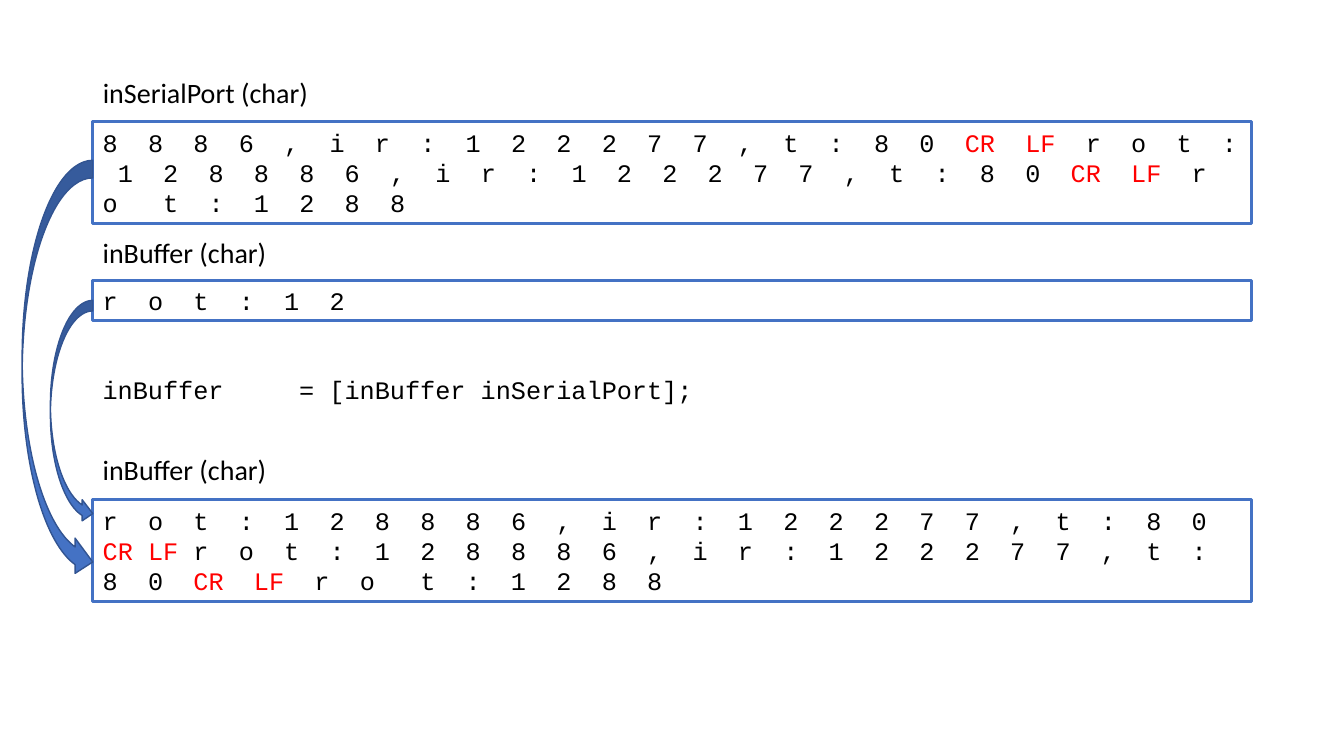
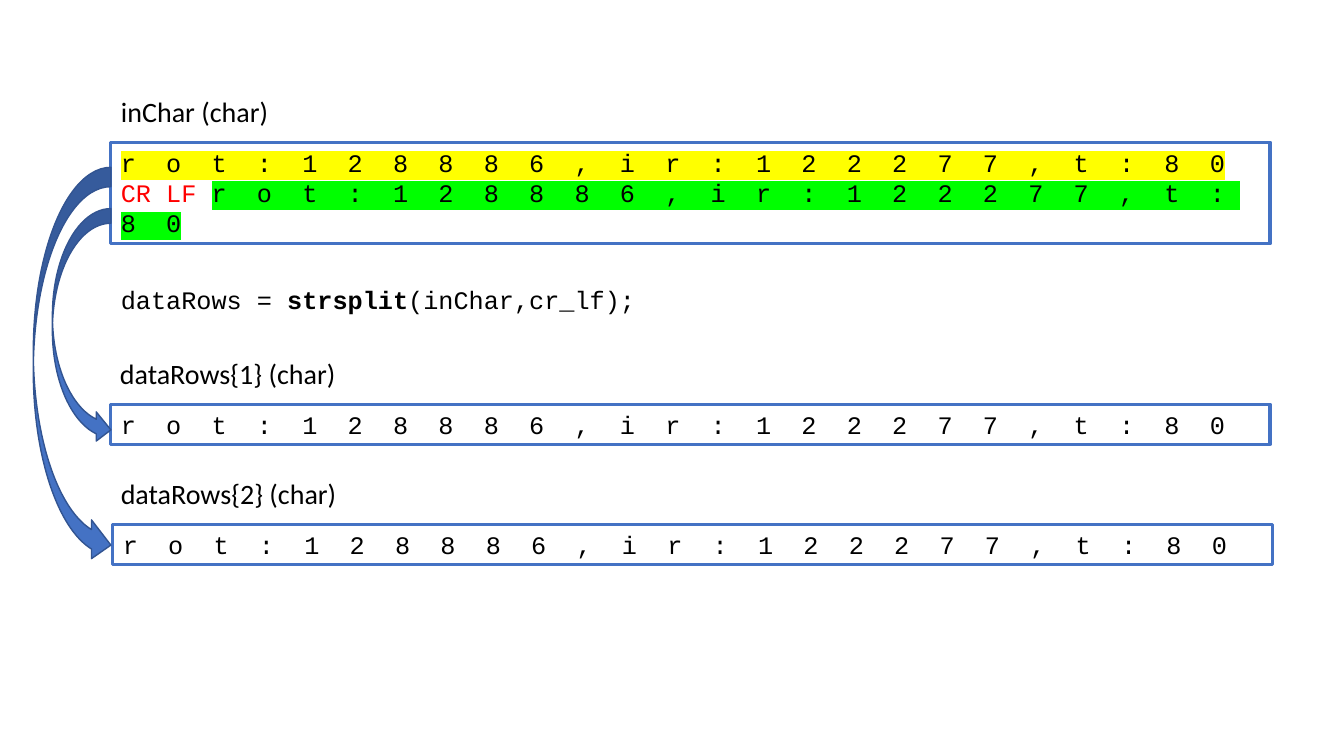
from dataclasses import dataclass
from typing import NamedTuple

from lxml.etree import SubElement
from pptx import Presentation
from pptx.dml.color import RGBColor
from pptx.enum.shapes import MSO_SHAPE
from pptx.enum.text import MSO_ANCHOR, MSO_AUTO_SIZE, PP_ALIGN
from pptx.oxml.ns import qn
from pptx.util import Inches, Pt

SLIDE_W, SLIDE_H = Inches(13.33), Inches(7.5)
COLORS = {
    "text": "000000",
    "line_end": "FF0000",
    "accent": "4472C4",
    "arrow_edge": "325491",
    "first_row": "FFFF00",
    "second_row": "00FF00",
}
CODE_FONT, LABEL_FONT = "Courier New", "Calibri"

# Lengths are percentages of the slide's width (x) or height (y).
BUFFER_W = 86.25
LABEL_W, LABEL_H = 37.65, 7.6
ONE_LINE_H, THREE_LINE_H = 5.33, 13.47


class Piece(NamedTuple):
    text: str
    color: str = "text"
    highlight: str | None = None
    bold: bool = False


class Spot(NamedTuple):
    x: float
    y: float


@dataclass
class Buffer:
    """A labelled row of characters in a frame."""
    label: str
    label_spot: Spot
    frame_spot: Spot
    height: float
    pieces: list[Piece]


@dataclass
class Flow:
    """A curved arrow that ends at the left edge of the frames."""
    x: float
    top: float
    bottom: float


@dataclass
class Step:
    left: float
    buffers: list[Buffer]
    statement: list[Piece]
    statement_y: float
    statement_w: float
    flows: list[Flow]


def spaced(characters: str) -> str:
    """Set the characters of an array two spaces apart."""
    return "  ".join(characters)


ROW = spaced("rot:128886,ir:122277,t:80")
ROW_START = spaced("rot:12")
ROW_END = spaced("8886,ir:122277,t:80")
CUT_ROW = spaced("ro") + "   " + spaced("t:1288")
WIDE_CR_LF = Piece("CR  LF  ", "line_end")
CR_LF = Piece("CR LF ", "line_end")

STEPS = [
    Step(
        left=6.9,
        buffers=[
            Buffer("inSerialPort (char)", Spot(6.9, 8.67), Spot(6.9, 16.13), THREE_LINE_H,
                   [Piece(ROW_END + "  "), WIDE_CR_LF, Piece(ROW + "  "), WIDE_CR_LF,
                    Piece(CUT_ROW)]),
            Buffer("inBuffer (char)", Spot(6.9, 29.87), Spot(6.9, 37.07), ONE_LINE_H,
                   [Piece(ROW_START)]),
            Buffer("inBuffer (char)", Spot(6.9, 58.53), Spot(6.9, 66.13), THREE_LINE_H,
                   [Piece(ROW + " "), CR_LF, Piece(ROW + "  "), WIDE_CR_LF,
                    Piece(CUT_ROW)]),
        ],
        statement=[Piece("inBuffer     = [inBuffer inSerialPort];")],
        statement_y=48.8,
        statement_w=61.67,
        flows=[Flow(3.75, 39.73, 69.33), Flow(1.65, 21.2, 76.67)],
    ),
    Step(
        left=8.25,
        buffers=[
            Buffer("inChar (char)", Spot(8.25, 11.2), Spot(8.25, 18.8), THREE_LINE_H,
                   [Piece(ROW + " ", highlight="first_row"), CR_LF,
                    Piece(ROW, highlight="second_row")]),
            Buffer("dataRows{1} (char)", Spot(8.18, 45.87), Spot(8.25, 53.47), ONE_LINE_H,
                   [Piece(ROW)]),
            Buffer("dataRows{2} (char)", Spot(8.25, 61.73), Spot(8.4, 69.33), ONE_LINE_H,
                   [Piece(ROW)]),
        ],
        statement=[Piece("dataRows = "), Piece("strsplit", bold=True),
                   Piece("(inChar,cr_lf);")],
        statement_y=36.93,
        statement_w=50.04,
        flows=[Flow(3.9, 27.6, 58.8), Flow(2.48, 22.13, 74.67)],
    ),
]


def box(x: float, y: float, width: float, height: float) -> tuple[int, int, int, int]:
    """Turn shares of the slide into left, top, width and height."""
    return (int(SLIDE_W * x / 100), int(SLIDE_H * y / 100),
            int(SLIDE_W * width / 100), int(SLIDE_H * height / 100))


def rgb(name: str) -> RGBColor:
    return RGBColor.from_string(COLORS[name])


def highlight_run(run, color: str) -> None:
    properties = run._r.get_or_add_rPr()
    highlight = SubElement(properties, qn("a:highlight"))
    SubElement(highlight, qn("a:srgbClr"), val=COLORS[color])
    properties.find(qn("a:solidFill")).addnext(highlight)


def write_text(shape, pieces: list[Piece], *, font: str = CODE_FONT, size: float = 18,
               anchor=MSO_ANCHOR.TOP, fit=MSO_AUTO_SIZE.SHAPE_TO_FIT_TEXT,
               line_spacing: float = 1.0) -> None:
    frame = shape.text_frame
    frame.word_wrap = True
    frame.auto_size = fit
    frame.vertical_anchor = anchor
    paragraph = frame.paragraphs[0]
    paragraph.alignment = PP_ALIGN.LEFT
    paragraph.line_spacing = line_spacing
    for piece in pieces:
        run = paragraph.add_run()
        run.text = piece.text
        run.font.name = font
        run.font.size = Pt(size)
        run.font.bold = piece.bold
        run.font.color.rgb = rgb(piece.color)
        if piece.highlight:
            highlight_run(run, piece.highlight)


def draw_label(slide, buffer: Buffer, is_title: bool) -> None:
    place = box(*buffer.label_spot, LABEL_W, LABEL_H)
    if is_title:
        label = slide.shapes.title
        label.left, label.top, label.width, label.height = place
    else:
        label = slide.shapes.add_textbox(*place)
    write_text(label, [Piece(buffer.label)], font=LABEL_FONT, size=20,
               anchor=MSO_ANCHOR.MIDDLE, fit=MSO_AUTO_SIZE.NONE, line_spacing=0.9)


def draw_frame(slide, buffer: Buffer) -> None:
    frame = slide.shapes.add_shape(
        MSO_SHAPE.RECTANGLE, *box(*buffer.frame_spot, BUFFER_W, buffer.height))
    frame.shadow.inherit = False
    frame.fill.background()
    frame.line.color.rgb = rgb("accent")
    frame.line.width = Pt(2.25)
    write_text(frame, buffer.pieces)


def draw_flow(slide, flow: Flow, right: float) -> None:
    arrow = slide.shapes.add_shape(
        MSO_SHAPE.CURVED_RIGHT_ARROW,
        *box(flow.x, flow.top, right - flow.x, flow.bottom - flow.top))
    arrow.shadow.inherit = False
    arrow.fill.solid()
    arrow.fill.fore_color.rgb = rgb("accent")
    arrow.line.color.rgb = rgb("arrow_edge")
    arrow.line.width = Pt(1)


def draw_step(slide, step: Step) -> None:
    statement = slide.shapes.add_textbox(
        *box(step.left, step.statement_y, step.statement_w, ONE_LINE_H))
    write_text(statement, step.statement)
    for number, buffer in enumerate(step.buffers):
        draw_label(slide, buffer, is_title=number == 0)
        draw_frame(slide, buffer)
    for flow in step.flows:
        draw_flow(slide, flow, step.left)


def main() -> None:
    deck = Presentation()
    deck.slide_width, deck.slide_height = SLIDE_W, SLIDE_H
    title_only = deck.slide_layouts.get_by_name("Title Only")
    for step in STEPS:
        draw_step(deck.slides.add_slide(title_only), step)
    deck.save("out.pptx")


if __name__ == "__main__":
    main()
